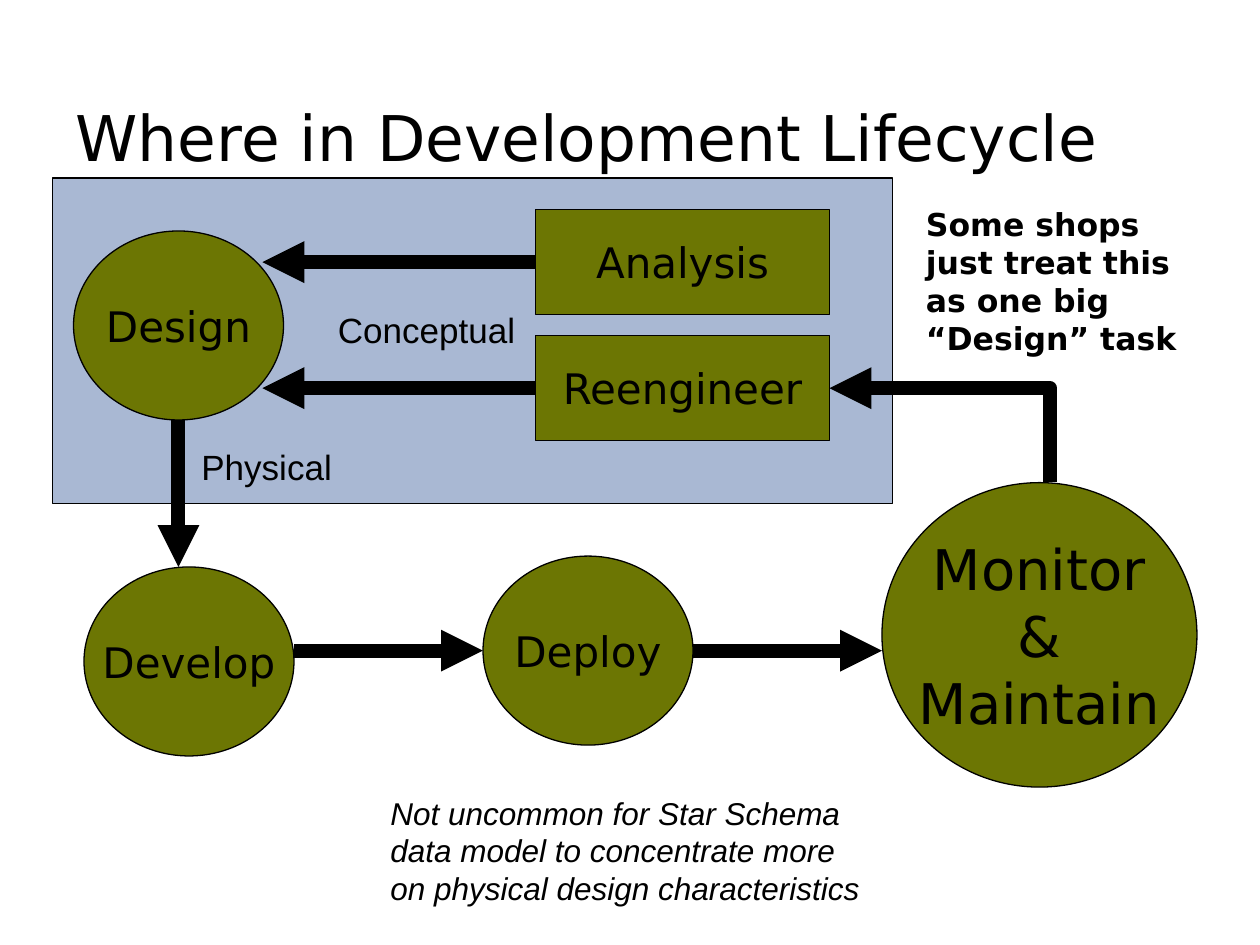
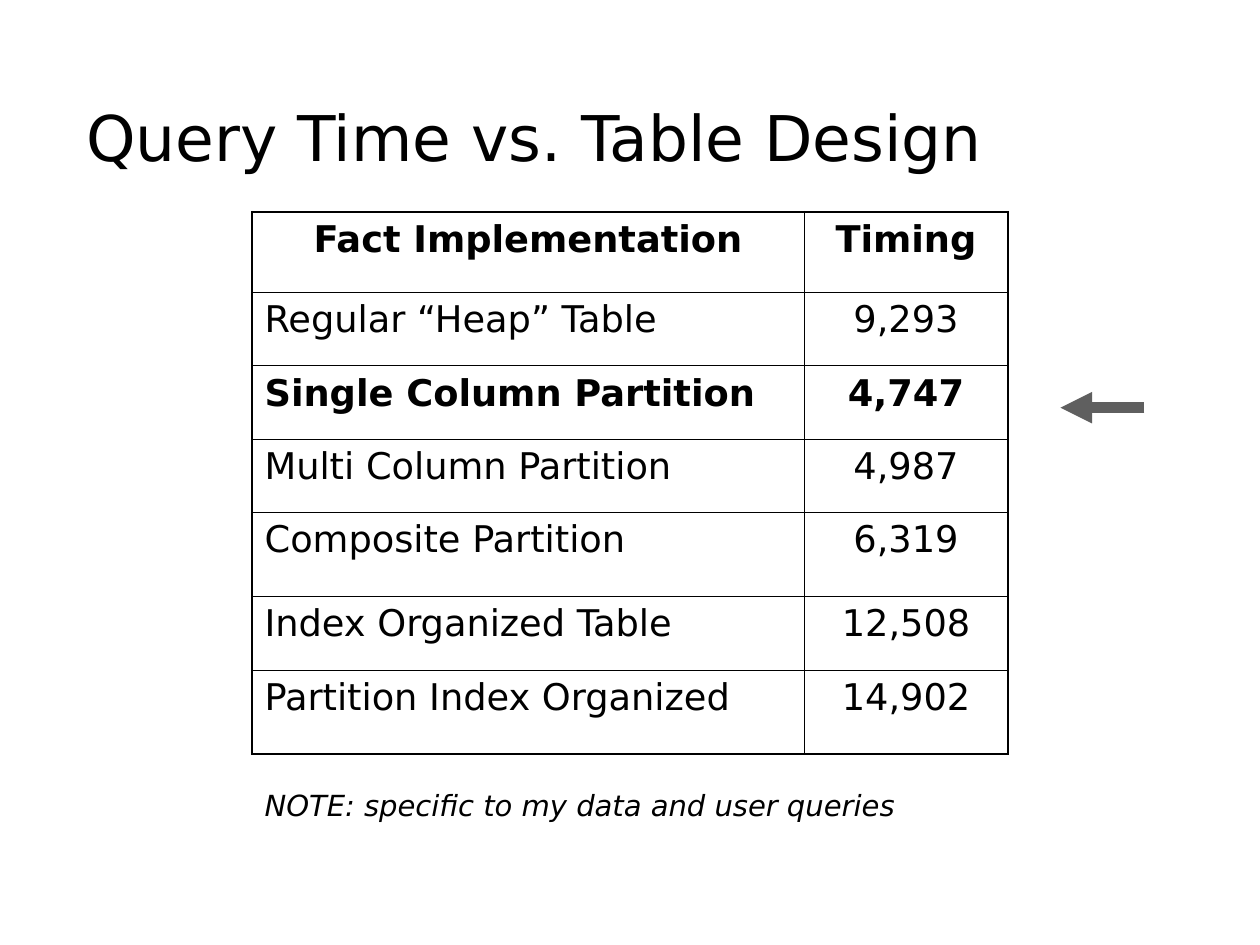
from dataclasses import dataclass

from lxml import etree
from pptx import Presentation
from pptx.dml.color import RGBColor
from pptx.enum import shapes, text
from pptx.oxml import ns
from pptx.util import Pt


@dataclass(frozen=True)
class Theme:
    black: RGBColor = RGBColor(0x00, 0x00, 0x00)
    olive: RGBColor = RGBColor(0x6C, 0x76, 0x03)
    blue: RGBColor = RGBColor(0x54, 0x73, 0xA9)
    grey: RGBColor = RGBColor(0x5F, 0x5F, 0x5F)
    main_font: str = "DejaVu Sans"
    label_font: str = "Arial"
    title: float = 36
    large_step: float = 32
    step: float = 24
    table: float = 21
    label: float = 20
    remark: float = 18
    note: float = 16.6
    outline: float = 0.75
    flow: float = 8
    marker: float = 6
    frame: float = 1.08
    grid: float = 0.45


THEME = Theme()
LEFT, CENTER = text.PP_ALIGN.LEFT, text.PP_ALIGN.CENTER
OVAL, RECTANGLE = shapes.MSO_SHAPE.OVAL, shapes.MSO_SHAPE.RECTANGLE


def points(*lengths):
    return [Pt(length) for length in lengths]


def sub(parent, tag, **attributes):
    return etree.SubElement(parent, ns.qn(tag), attributes)


def write(frame, wording, size, font=THEME.main_font, align=LEFT, bold=False, italic=False):
    frame.text = wording
    for para in frame.paragraphs:
        para.alignment = align
        para.space_before = Pt(0)
        for span in para.runs:
            span.font.name = font
            span.font.size = Pt(size)
            span.font.bold = bold
            span.font.italic = italic
            span.font.color.rgb = THEME.black


def place(holder, area):
    holder.left, holder.top, holder.width, holder.height = points(*area)
    holder.text_frame.auto_size = text.MSO_AUTO_SIZE.NONE


def add_page(deck, layout, title, area):
    page = deck.slides.add_slide(deck.slide_layouts.get_by_name(layout))
    holder = page.shapes.title
    place(holder, area)
    holder.text_frame.vertical_anchor = text.MSO_ANCHOR.MIDDLE
    write(holder.text_frame, title, THEME.title)
    return page


def add_outlined(page, kind, area, color):
    shape = page.shapes.add_shape(kind, *points(*area))
    shape.shadow.inherit = False
    shape.fill.solid()
    shape.fill.fore_color.rgb = color
    shape.line.color.rgb = THEME.black
    shape.line.width = Pt(THEME.outline)
    return shape


def add_step(page, kind, area, wording, size=THEME.step):
    frame = add_outlined(page, kind, area, THEME.olive).text_frame
    frame.word_wrap = False
    frame.vertical_anchor = text.MSO_ANCHOR.MIDDLE
    write(frame, wording, size, align=CENTER)


def add_backdrop(page, area):
    backdrop = add_outlined(page, RECTANGLE, area, THEME.blue)
    color = backdrop.fill._xPr.find(ns.qn("a:solidFill"))[0]
    sub(color, "a:alpha", val="50000")


def add_text(page, area, wording, size, wrap=True, **style):
    frame = page.shapes.add_textbox(*points(*area)).text_frame
    frame.word_wrap = wrap
    frame.auto_size = text.MSO_AUTO_SIZE.SHAPE_TO_FIT_TEXT
    write(frame, wording, size, **style)


def style_arrow(shape, color, width):
    shape.line.color.rgb = color
    shape.line.width = Pt(width)
    line = shape.line._get_or_add_ln()
    sub(line, "a:round")
    sub(line, "a:tailEnd", type="triangle")


def add_arrow(page, start, end, color=THEME.black, width=THEME.flow):
    arrow = page.shapes.add_connector(
        shapes.MSO_CONNECTOR.STRAIGHT, *points(*start, *end))
    style_arrow(arrow, color, width)
    sub(arrow._element.spPr, "a:effectLst")


def add_bent_arrow(page, start, *corners):
    builder = page.shapes.build_freeform(*points(*start))
    builder.add_line_segments([points(*corner) for corner in corners], close=False)
    arrow = builder.convert_to_shape()
    arrow.shadow.inherit = False
    arrow.fill.background()
    style_arrow(arrow, THEME.black, THEME.flow)


def set_borders(cell, widths):
    properties = cell._tc.get_or_add_tcPr()
    for position, (side, width) in enumerate(widths.items()):
        line = etree.Element(ns.qn(f"a:ln{side}"), w=str(Pt(width)))
        sub(sub(line, "a:solidFill"), "a:srgbClr", val=str(THEME.black))
        properties.insert(position, line)


def add_timings(page, origin, widths, heights, rows, bold_rows):
    area = (*origin, sum(widths), sum(heights))
    table = page.shapes.add_table(len(rows), len(widths), *points(*area)).table
    table.first_row = table.horz_banding = False
    for column, width in zip(table.columns, widths):
        column.width = Pt(width)
    last_row, last_column = len(rows) - 1, len(widths) - 1
    for r, (values, height) in enumerate(zip(rows, heights)):
        table.rows[r].height = Pt(height)
        for c, value in enumerate(values):
            cell = table.cell(r, c)
            align = CENTER if r == 0 or c > 0 else LEFT
            write(cell.text_frame, value, THEME.table, align=align, bold=r in bold_rows)
            cell.fill.background()
            at_edge = {"L": c == 0, "R": c == last_column, "T": r == 0, "B": r == last_row}
            set_borders(cell, {side: THEME.frame if edge else THEME.grid
                               for side, edge in at_edge.items()})


def add_note(page, area, wording):
    holder = page.placeholders[1]
    place(holder, area)
    write(holder.text_frame, wording, THEME.note, italic=True)
    properties = holder.text_frame.paragraphs[0]._p.get_or_add_pPr()
    properties.set("marL", "0")
    properties.set("indent", "0")
    sub(properties, "a:buNone")


def build_lifecycle(deck):
    page = add_page(deck, "Title Only", "Where in Development Lifecycle", (36, 60, 600, 36))
    add_backdrop(page, (30, 101.8, 480, 186))
    add_step(page, OVAL, (42, 132, 120, 108), "Design")
    add_step(page, OVAL, (48, 324, 120, 108), "Develop")
    add_step(page, OVAL, (276, 317.8, 120, 108), "Deploy")
    add_step(page, OVAL, (504, 275.8, 180, 174), "Monitor\n&\nMaintain", THEME.large_step)
    for wording, top in (("Reengineer", 191.8), ("Analysis", 119.8)):
        add_step(page, RECTANGLE, (306, top, 168, 60), wording)

    label = {"wrap": False, "font": THEME.label_font}
    add_text(page, (186, 172.8, 117, 31.5), "Conceptual", THEME.label, **label)
    add_text(page, (108, 250.8, 91, 31.5), "Physical", THEME.label, **label)
    add_text(page, (522, 113.8, 168, 94),
             "Some shops just treat this as one big “Design” task", THEME.remark, bold=True)
    add_text(page, (216, 450, 288, 72),
             "Not uncommon for Star Schema data model to concentrate more "
             "on physical design characteristics",
             THEME.remark, font=THEME.label_font, italic=True)

    for start, end in (
        ((396, 371.8), (504, 371.8)),
        ((168, 371.8), (276, 371.8)),
        ((102, 240), (102, 324)),
        ((306, 149.8), (150, 149.8)),
        ((306, 221.8), (150, 221.8)),
    ):
        add_arrow(page, start, end)
    add_bent_arrow(page, (600, 275.3), (600, 221.8), (474, 221.8))


def build_timings(deck):
    page = add_page(deck, "Title and Content", "Query Time vs. Table Design", (42, 60, 564, 36))
    add_note(page, (144, 446.4, 432, 28), "NOTE: specific to my data and user queries")
    rows = (
        ("Fact Implementation", "Timing"),
        ("Regular “Heap” Table", "9,293"),
        ("Single Column Partition", "4,747"),
        ("Multi Column Partition", "4,987"),
        ("Composite Partition", "6,319"),
        ("Index Organized Table", "12,508"),
        ("Partition Index Organized", "14,902"),
    )
    add_timings(page, (144, 121), (315.5, 116.5), (46, 42, 42, 42, 48, 42, 48), rows, {0, 2})
    add_arrow(page, (654, 233), (606, 233), THEME.grey, THEME.marker)


def main():
    deck = Presentation()
    deck.slide_width, deck.slide_height = points(720, 540)
    build_lifecycle(deck)
    build_timings(deck)
    deck.save("out.pptx")


if __name__ == "__main__":
    main()
